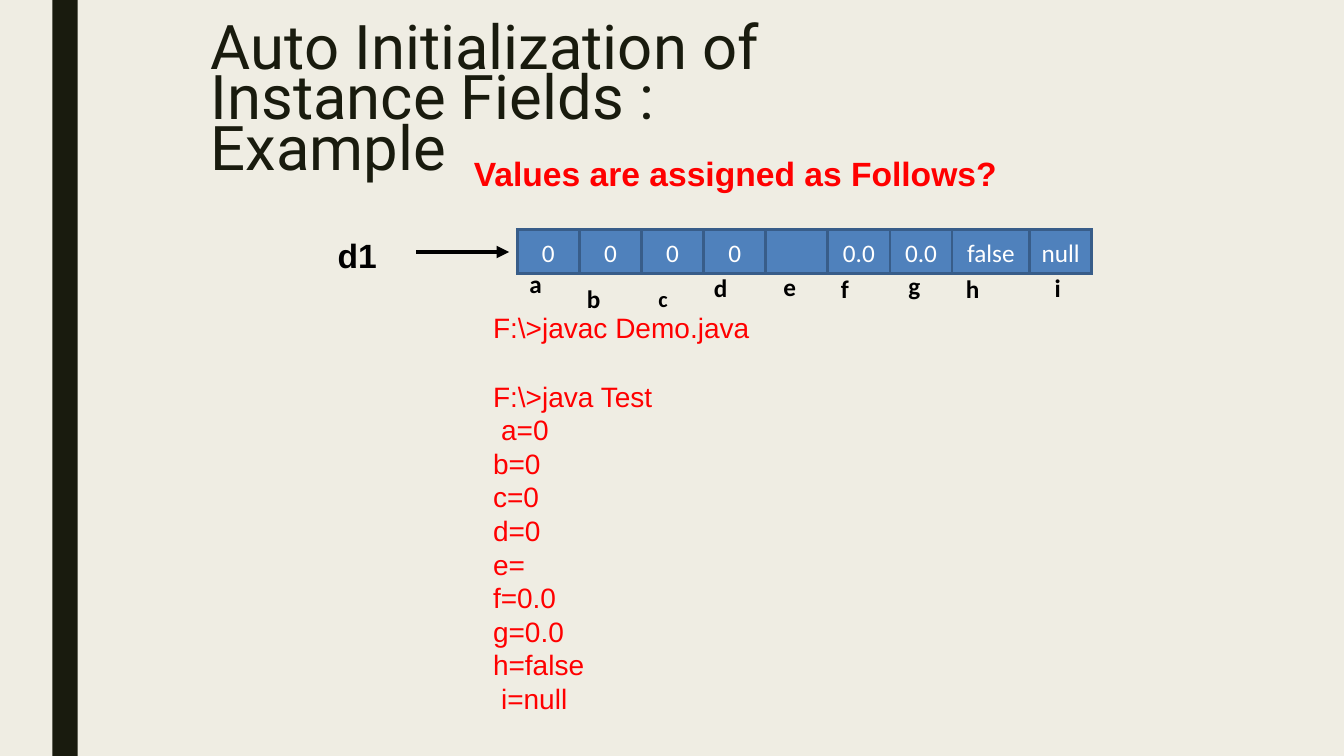
import pptx
import pptx.util
import pptx.dml.color
import pptx.enum.shapes
import pptx.enum.text
import pptx.oxml
from pptx.oxml.ns import qn, nsdecls

Inches, Pt = pptx.util.Inches, pptx.util.Pt
ALIGN = pptx.enum.text.PP_ALIGN
ANCHOR = pptx.enum.text.MSO_ANCHOR

COLORS = {
    "paper": "EFEDE3",
    "ink": "191B0E",
    "red": "FF0000",
    "black": "000000",
    "white": "FFFFFF",
    "cell": "4F81BC",
    "border": "385D89",
}

TITLE = {"name": "Roboto", "size": Pt(44), "bold": False}
HEADING = {"name": "Arial", "size": Pt(24), "bold": True}
OUTPUT = {"name": "Arial", "size": Pt(20), "bold": False}
VALUE = {"name": "Calibri", "size": Pt(18), "bold": False}
FIELD = {"name": "Calibri", "size": Pt(18), "bold": True}

VALUES = ["0", "0", "0", "0", "", "0.0", "0.0", "false", "null"]
WIDE_VALUE, WIDE_COLUMN = "false", 0.77
FIELD_PLACES = {
    "a": (0.12, 0.36), "b": (0.69, 0.51), "c": (1.4, 0.53),
    "d": (1.95, 0.4), "e": (2.64, 0.39), "f": (3.21, 0.41),
    "g": (3.88, 0.38), "h": (4.45, 0.41), "i": (5.33, 0.4),
}
RUN_LINES = [
    "F:\\>javac Demo.java", "F:\\>java Test", "a=0", "b=0", "c=0", "d=0",
    "e=", "f=0.0", "g=0.0", "h=false", "i=null",
]
INDENTED_LINES = ("a=0", "i=null")


def rgb(name):
    """Return the named colour."""
    return pptx.dml.color.RGBColor.from_string(COLORS[name])


def apply(target, formats):
    """Set each attribute of a target from a dict."""
    for attribute, value in formats.items():
        setattr(target, attribute, value)


def style_font(paragraph, formats, color):
    """Give a paragraph its font and colour."""
    apply(paragraph.font, formats)
    paragraph.font.color.rgb = rgb(color)


def set_frame(frame, top_inset):
    """Make a text frame wrap from its top left corner."""
    apply(frame, {
        "word_wrap": True, "vertical_anchor": ANCHOR.TOP,
        "auto_size": pptx.enum.text.MSO_AUTO_SIZE.NONE,
        "margin_left": 0, "margin_right": 0, "margin_bottom": 0,
        "margin_top": Inches(top_inset),
    })


def add_text(slide, box, lines, formats, color):
    """Add a text box with one paragraph per line and return the paragraphs."""
    frame = slide.shapes.add_textbox(*map(Inches, box)).text_frame
    set_frame(frame, 0.02)
    frame.text = "\n".join(lines)
    for paragraph in frame.paragraphs:
        style_font(paragraph, formats, color)
    return frame.paragraphs


def add_sidebar(slide, box):
    """Draw the dark band along the left edge."""
    band = slide.shapes.add_shape(
        pptx.enum.shapes.MSO_SHAPE.RECTANGLE, *map(Inches, box))
    band.shadow.inherit = False
    band.fill.solid()
    band.fill.fore_color.rgb = rgb("ink")
    band.line.fill.background()


def add_title(slide, box):
    """Place and format the slide title."""
    title = slide.shapes.title
    apply(title, dict(zip(("left", "top", "width", "height"), map(Inches, box))))
    set_frame(title.text_frame, 0.15)
    title.text_frame.text = "Auto Initialization of Instance Fields : Example"
    heading = title.text_frame.paragraphs[0]
    apply(heading, {"alignment": ALIGN.LEFT, "line_spacing": Pt(36)})
    style_font(heading, TITLE, "ink")


def add_reference(slide, box):
    """Draw the variable name and its arrow to the object."""
    left, top, width, height = box
    add_text(slide, (left, top, 0.6, height), ["d1"], HEADING, "black")
    middle = Inches(top + 0.19)
    arrow = slide.shapes.add_connector(
        pptx.enum.shapes.MSO_CONNECTOR.STRAIGHT,
        Inches(left + 0.78), middle, Inches(left + width), middle)
    arrow.line.color.rgb = rgb("black")
    arrow.line.width = Pt(3)
    arrow.line._get_or_add_ln().append(pptx.oxml.parse_xml(
        f'<a:tailEnd {nsdecls("a")} type="triangle"/>'))
    arrow._element.spPr.append(pptx.oxml.parse_xml(
        f'<a:effectLst {nsdecls("a")}/>'))


def add_borders(cell):
    """Outline all four sides of a table cell."""
    properties = cell._tc.get_or_add_tcPr()
    for position, side in enumerate(("lnL", "lnR", "lnT", "lnB")):
        properties.insert(position, pptx.oxml.parse_xml(
            f'<a:{side} {nsdecls("a")} w="{Pt(2.25)}"><a:solidFill>'
            f'<a:srgbClr val="{COLORS["border"]}"/></a:solidFill></a:{side}>'))


def add_object_fields(slide, box):
    """Draw the row of field values with the field names beneath."""
    left, top, width, height = box
    table = slide.shapes.add_table(1, len(VALUES), *map(Inches, box)).table
    apply(table, {"first_row": False, "horz_banding": False})
    table.rows[0].height = Inches(height)
    column_width = (width - WIDE_COLUMN) / (len(VALUES) - 1)
    for column, cell, value in zip(table.columns, table.rows[0].cells, VALUES):
        column.width = Inches(WIDE_COLUMN if value == WIDE_VALUE else column_width)
        cell.text = value
        apply(cell, {"margin_left": 0, "margin_right": 0, "margin_bottom": 0,
                     "margin_top": Inches(0.09)})
        cell.fill.solid()
        cell.fill.fore_color.rgb = rgb("cell")
        add_borders(cell)
        paragraph = cell.text_frame.paragraphs[0]
        paragraph.alignment = ALIGN.CENTER
        style_font(paragraph, VALUE, "white")
    for field, (across, down) in FIELD_PLACES.items():
        formats = {**FIELD, "size": Pt(16)} if field == "c" else FIELD
        add_text(slide, (left + across, top + down, 0.2, 0.33),
                 [field], formats, "black")


def add_run_output(slide, box):
    """Write the commands and the printed field values."""
    paragraphs = add_text(slide, box, RUN_LINES, OUTPUT, "red")
    for paragraph, line in zip(paragraphs, RUN_LINES):
        paragraph.line_spacing = Pt(24)
        if line in INDENTED_LINES:
            paragraph._p.get_or_add_pPr().set("marL", str(Inches(0.08)))
    paragraphs[1].space_before = Pt(25)


def build():
    """Build the slide and save it."""
    deck = pptx.Presentation()
    apply(deck, {"slide_width": Inches(13.33), "slide_height": Inches(7.5)})
    slide = deck.slides.add_slide(deck.slide_layouts[5])
    slide.background.fill.solid()
    slide.background.fill.fore_color.rgb = rgb("paper")
    add_sidebar(slide, (0.52, 0, 0.25, 7.5))
    add_title(slide, (2.09, 0.16, 6.34, 1.14))
    add_text(slide, (4.7, 1.5, 5.4, 0.4),
             ["Values are assigned as Follows?"], HEADING, "red")
    add_reference(slide, (3.35, 2.31, 1.7, 0.4))
    add_object_fields(slide, (5.13, 2.28, 5.7, 0.43))
    add_run_output(slide, (4.89, 3.06, 2.57, 4.03))
    deck.save("out.pptx")


if __name__ == "__main__":
    build()
